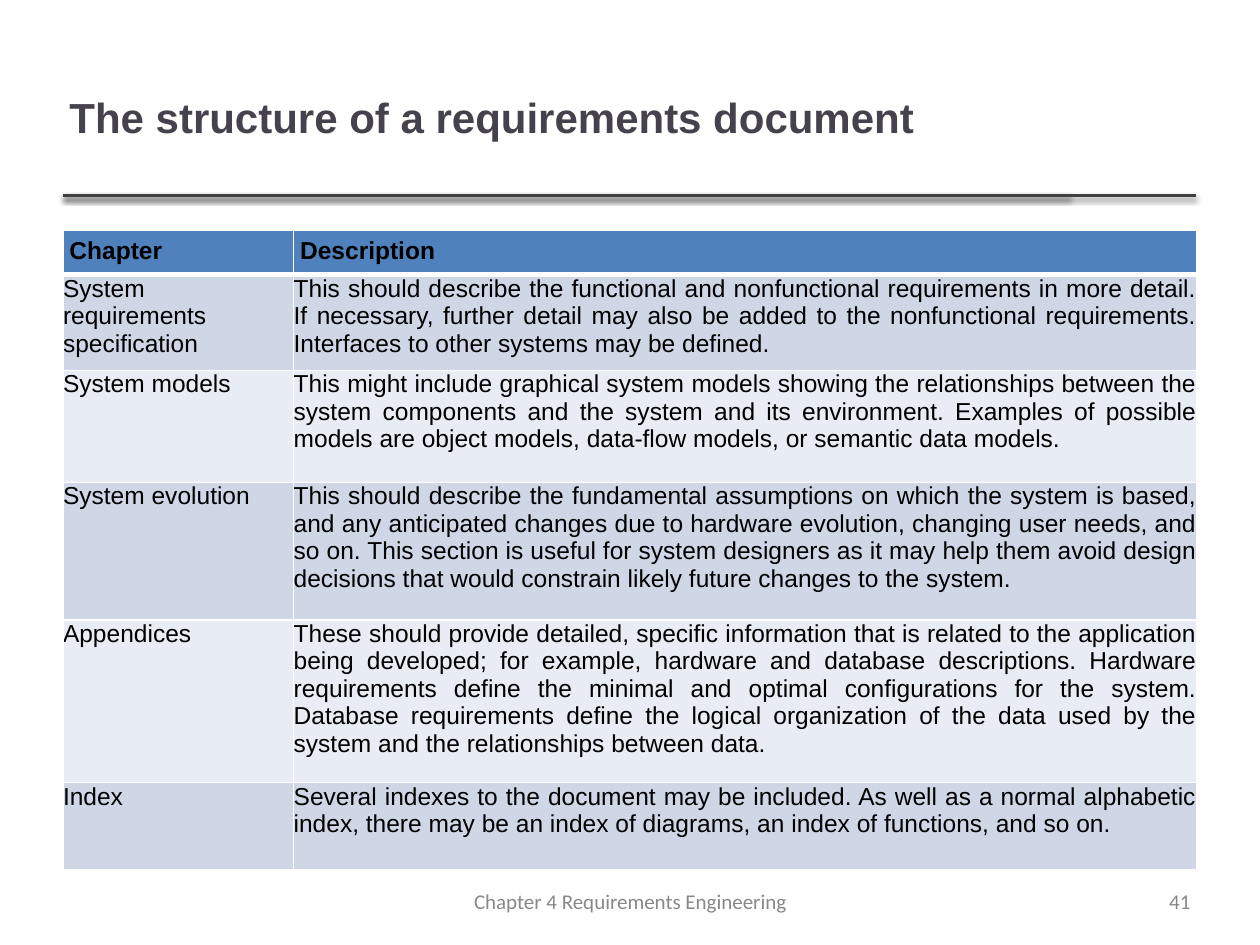
"""Builds a slide with a table on the structure of a requirements document."""
from lxml import etree
from pptx import Presentation
from pptx import util as u
from pptx.dml.color import RGBColor
from pptx.enum import shapes, text
from pptx.oxml import ns

COLORS = {
    "title": "46424D", "rule": "404040", "footer": "888888", "text": "000000",
    "header": "4F81BD", "odd": "CFD7E7", "even": "E8ECF4", "border": "FFFFFF",
}
ALIGN = text.PP_ALIGN
INSET = u.Cm(0.13)
LEFT = 1.27

ROWS = [
    ("Chapter", "Description"),
    ("System requirements specification",
     "This should describe the functional and nonfunctional requirements in more detail. "
     "If necessary, further detail may also be added to the nonfunctional requirements. "
     "Interfaces to other systems may be defined."),
    ("System models",
     "This might include graphical system models showing the relationships between the "
     "system components and the system and its environment. Examples of possible models "
     "are object models, data-flow models, or semantic data models. "),
    ("System evolution",
     "This should describe the fundamental assumptions on which the system is based, and "
     "any anticipated changes due to hardware evolution, changing user needs, and so on. "
     "This section is useful for system designers as it may help them avoid design "
     "decisions that would constrain likely future changes to the system."),
    ("Appendices",
     "These should provide detailed, specific information that is related to the "
     "application being developed; for example, hardware and database descriptions. "
     "Hardware requirements define the minimal and optimal configurations for the system. "
     "Database requirements define the logical organization of the data used by the "
     "system and the relationships between data. "),
    ("Index",
     "Several indexes to the document may be included. As well as a normal alphabetic "
     "index, there may be an index of diagrams, an index of functions, and so on."),
]
COLUMN_WIDTHS = [4.65, 18.21]
ROW_HEIGHTS = [0.89, 1.93, 2.26, 2.77, 3.28, 1.75]


def color(name):
    return RGBColor.from_string(COLORS[name])


def child(parent, tag, **attributes):
    return etree.SubElement(parent, ns.qn(tag), attributes)


def write(frame, content, size=14, font="Arial", ink="text", bold=False, align=ALIGN.LEFT):
    paragraph = frame.paragraphs[0]
    paragraph.alignment = align
    run = paragraph.add_run()
    run.text = content
    run.font.size, run.font.name, run.font.bold = u.Pt(size), font, bold
    run.font.color.rgb = color(ink)


def set_margins(target, margin):
    target.margin_left = target.margin_right = margin
    target.margin_top = target.margin_bottom = margin


def set_borders(cell, top, bottom):
    properties = cell._tc.get_or_add_tcPr()
    widths = {"a:lnL": 1, "a:lnR": 1, "a:lnT": top, "a:lnB": bottom}
    for index, (tag, width) in enumerate(widths.items()):
        line = child(properties, tag, w=str(u.Pt(width)))
        child(child(line, "a:solidFill"), "a:srgbClr", val=COLORS["border"])
        properties.insert(index, line)


class SlideBuilder:
    def __init__(self, slide):
        self.slide = slide

    def rule(self, right, y):
        line = self.slide.shapes.add_connector(
            shapes.MSO_CONNECTOR.STRAIGHT, u.Cm(LEFT), u.Cm(y), u.Cm(right), u.Cm(y))
        line.line.color.rgb = color("rule")
        line.line.width = u.Pt(2)
        effects = child(line._element.spPr, "a:effectLst")
        shadow = child(effects, "a:outerShdw", blurRad=str(u.Pt(3)), dist=str(u.Pt(1.6)),
                       dir="5400000", rotWithShape="0")
        child(child(shadow, "a:srgbClr", val="000000"), "a:alpha", val="38000")

    def label(self, content, left, top, width, height, wrap=True, **style):
        box = self.slide.shapes.add_textbox(u.Cm(left), u.Cm(top), u.Cm(width), u.Cm(height))
        frame = box.text_frame
        frame.word_wrap = wrap
        frame.vertical_anchor = text.MSO_ANCHOR.MIDDLE
        set_margins(frame, INSET)
        write(frame, content, **style)

    def table(self, rows, top):
        shape = self.slide.shapes.add_table(
            len(rows), len(COLUMN_WIDTHS), u.Cm(LEFT), u.Cm(top),
            u.Cm(sum(COLUMN_WIDTHS)), u.Cm(sum(ROW_HEIGHTS)))
        table = shape.table
        for column, width in zip(table.columns, COLUMN_WIDTHS):
            column.width = u.Cm(width)
        for index, (row, height) in enumerate(zip(table.rows, ROW_HEIGHTS)):
            row.height = u.Cm(height)
            header = index == 0
            fill = "header" if header else ("even", "odd")[index % 2]
            for cell, content in zip(row.cells, rows[index]):
                set_margins(cell, INSET if header else 0)
                cell.fill.solid()
                cell.fill.fore_color.rgb = color(fill)
                set_borders(cell, top=3 if index == 1 else 1, bottom=3 if header else 1)
                write(cell.text_frame, content, bold=header,
                      align=ALIGN.LEFT if header else ALIGN.JUSTIFY)


def main():
    presentation = Presentation()
    presentation.slide_width, presentation.slide_height = u.Cm(25.4), u.Cm(19.05)
    builder = SlideBuilder(presentation.slides.add_slide(presentation.slide_layouts[6]))
    for right in (21.56, 24.1):
        builder.rule(right, 3.94)
    footer = dict(size=12, font="Calibri", ink="footer")
    builder.label("Chapter 4 Requirements Engineering", 8.81, 17.83, 7.8, 0.69,
                  align=ALIGN.CENTER, **footer)
    builder.label("The structure of a requirements document", LEFT, 0.76, 20.27, 3.18,
                  size=24, ink="title", bold=True)
    builder.table(ROWS, 4.65)
    builder.label("41", 23.42, 17.83, 0.71, 0.69, wrap=False, align=ALIGN.RIGHT, **footer)
    presentation.save("out.pptx")


if __name__ == "__main__":
    main()
